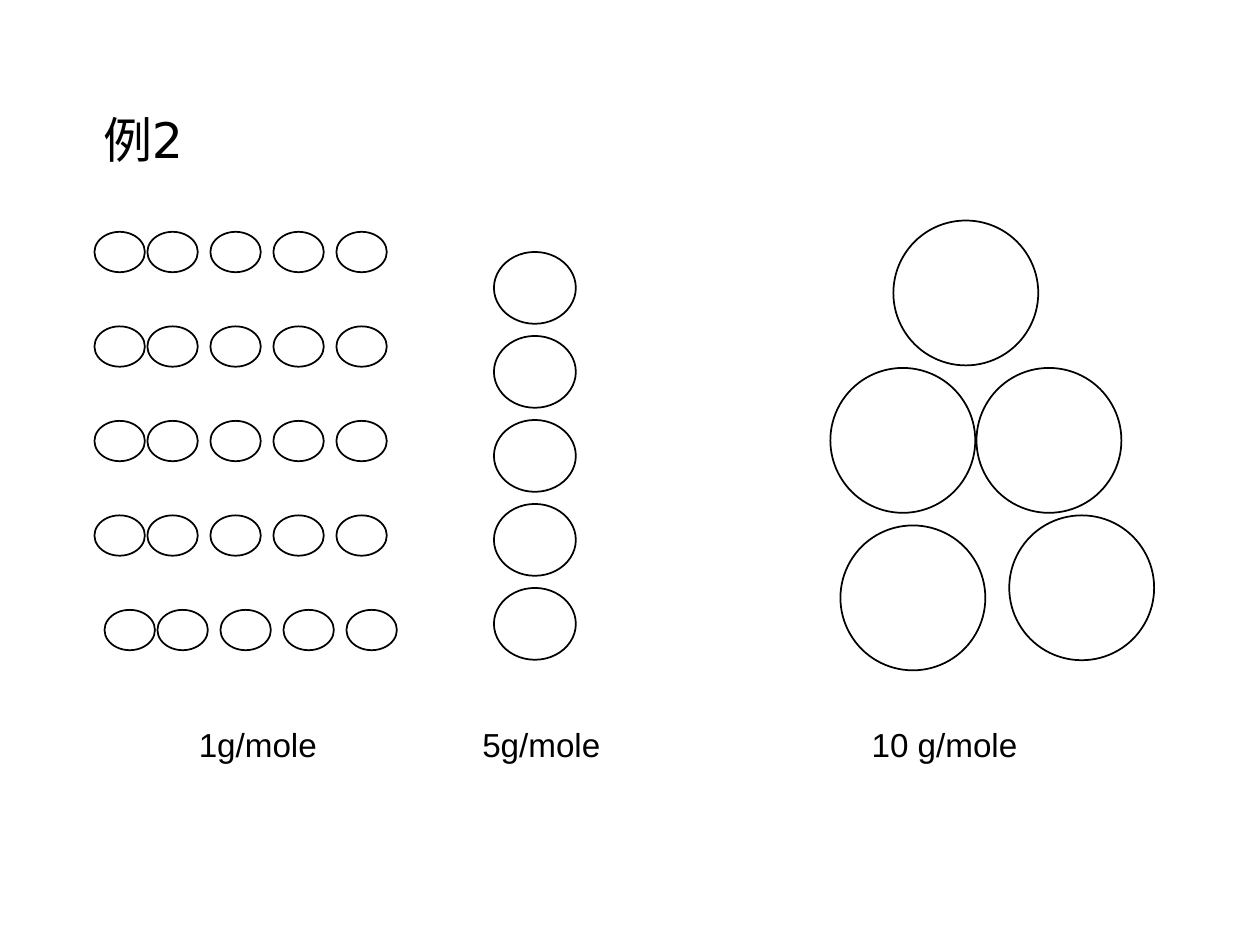
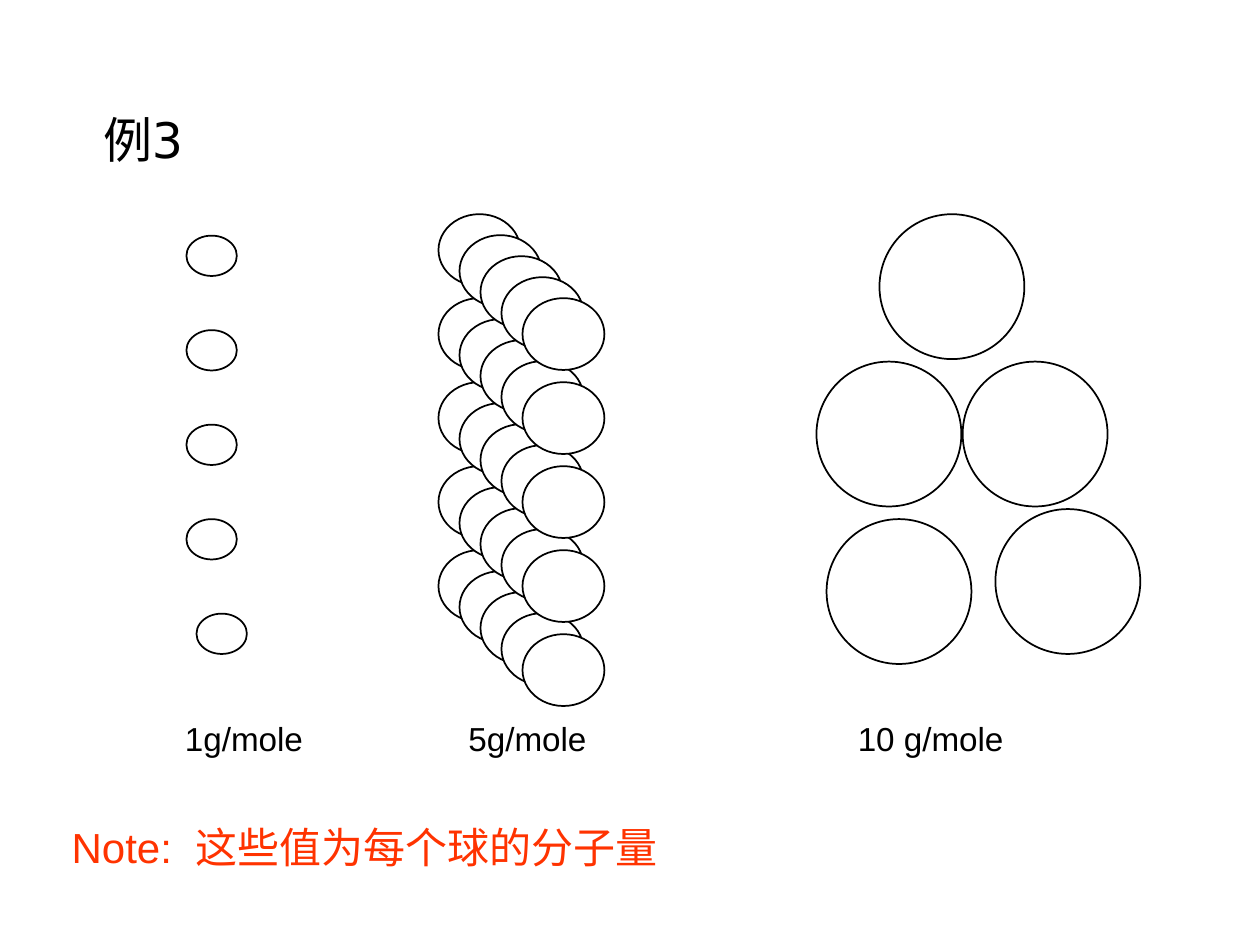
from pptx import Presentation
from pptx.dml.color import RGBColor
from pptx.enum.shapes import MSO_SHAPE
from pptx.enum.text import MSO_AUTO_SIZE
from pptx.util import Inches, Pt

OVAL = MSO_SHAPE.OVAL
GROW = MSO_AUTO_SIZE.SHAPE_TO_FIT_TEXT

COLORS = {"ink": "000000", "ball": "FFFFFF", "note": "FF3300"}
BODY_FONT, TITLE_FONT = "Arial", "DejaVu Sans"

SMALL, MEDIUM, LARGE = (0.4, 0.32), (0.65, 0.57), (1.15, 1.15)
ROWS = 5
SMALL_STEP, MEDIUM_STEP = 0.75, 2 / 3
LAST_ROW_SHIFT = 0.08
STACK_SHIFT = 1 / 6
# Offsets from the left edge and top of the group of large balls
PYRAMID = [(0.5, 0), (1.16, 1.17), (0, 1.17), (1.42, 2.34), (0.08, 2.42)]
LABELS = [("1g/mole", -5.11, 1.14), ("5g/mole", -2.86, 1.14), ("10 g/mole", 0.23, 1.36)]
LABEL_DROP = 3.95


def color(name):
    return RGBColor.from_string(COLORS[name])


class Deck:
    def __init__(self):
        self.prs = Presentation()
        self.prs.slide_width, self.prs.slide_height = Inches(10), Inches(7.5)
        self.s = None

    def slide(self, title):
        self.s = self.prs.slides.add_slide(self.prs.slide_layouts[6])
        self.text(title, 0.72, 0.82, 0.84, 0.57, 28, font=TITLE_FONT)

    def text(self, text, x, y, w, h, size, ink="ink", font=BODY_FONT, wrap=True):
        tb = self.s.shapes.add_textbox(Inches(x), Inches(y), Inches(w), Inches(h))
        tf = tb.text_frame
        tf.word_wrap = wrap
        tf.auto_size = GROW
        tf.text = text
        r = tf.paragraphs[0].runs[0]
        r.font.name, r.font.size = font, Pt(size)
        r.font.color.rgb = color(ink)

    def ball(self, x, y, size):
        w, h = size
        sp = self.s.shapes.add_shape(OVAL, Inches(x), Inches(y), Inches(w), Inches(h))
        sp.shadow.inherit = False
        sp.fill.solid()
        sp.fill.fore_color.rgb = color("ball")
        sp.line.color.rgb = color("ink")
        sp.line.width = Pt(1)

    def small_column(self, x, y):
        """Draw a column of small balls whose last one sits a little to the right."""
        for row in range(ROWS):
            shift = LAST_ROW_SHIFT if row == ROWS - 1 else 0
            self.ball(x + shift, y + row * SMALL_STEP, SMALL)

    def medium_column(self, x, y):
        for row in range(ROWS):
            self.ball(x, y + row * MEDIUM_STEP, MEDIUM)

    def pyramid_and_labels(self, x, y):
        for dx, dy in PYRAMID:
            self.ball(x + dx, y + dy, LARGE)
        for label, dx, w in LABELS:
            self.text(label, x + dx, y + LABEL_DROP, w, 0.41, 19, wrap=False)


def many_small_balls(deck):
    deck.slide("例2")
    for x in (0.75, 1.17, 1.67, 2.17, 2.67):
        deck.small_column(x, 1.84)
    deck.medium_column(3.92, 2)
    deck.pyramid_and_labels(6.59, 1.75)


def many_medium_balls(deck):
    deck.slide("例3")
    deck.text("Note:  这些值为每个球的分子量", 0.47, 6.47, 4.85, 0.5, 24, ink="note")
    deck.small_column(1.48, 1.87)
    deck.pyramid_and_labels(6.48, 1.7)
    for layer in range(5):
        shift = layer * STACK_SHIFT
        deck.medium_column(3.48 + shift, 1.7 + shift)


def main():
    deck = Deck()
    many_small_balls(deck)
    many_medium_balls(deck)
    deck.prs.save("out.pptx")


if __name__ == "__main__":
    main()
